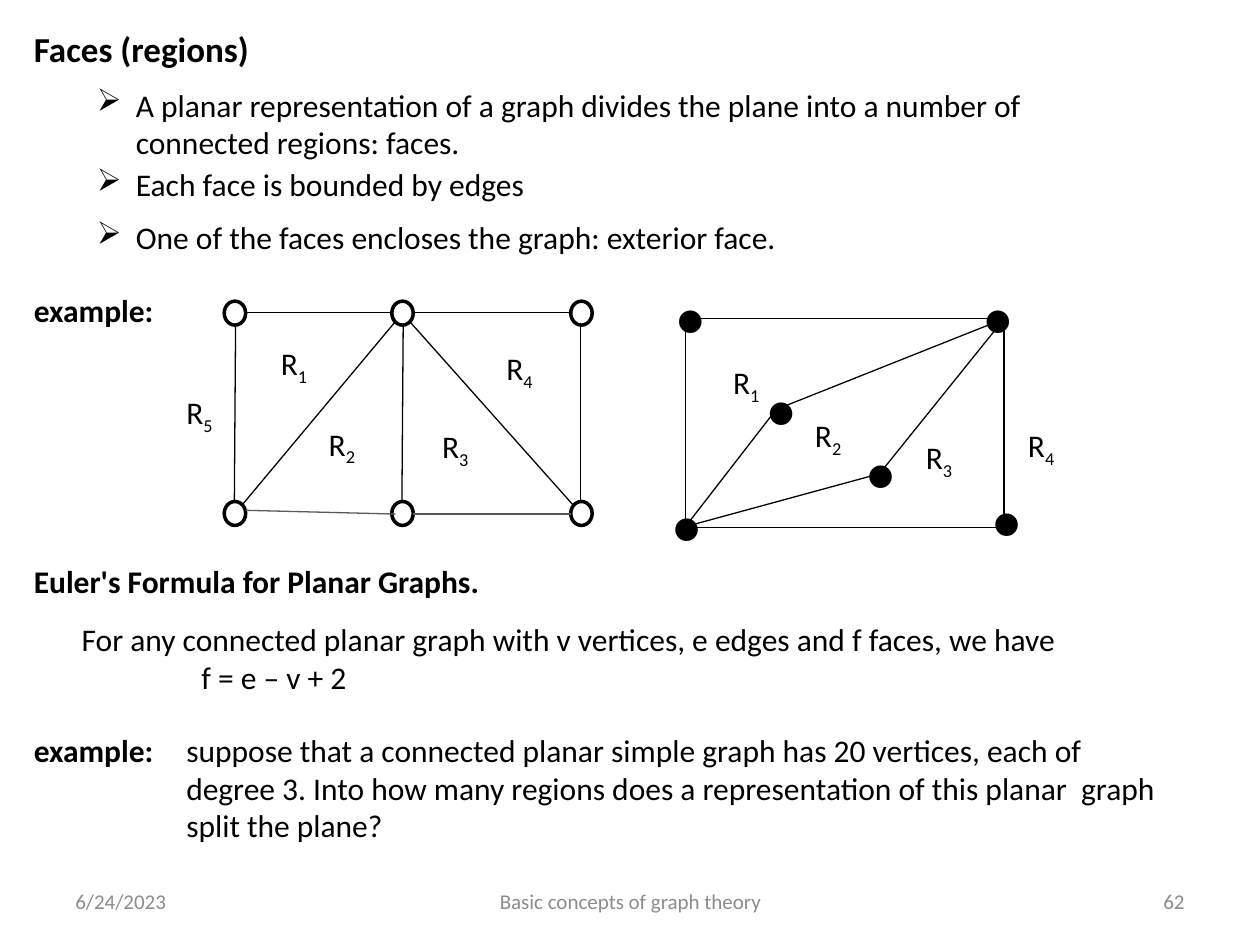
from dataclasses import dataclass
from itertools import product

import lxml.etree
import pptx
import pptx.dml.color
import pptx.enum.shapes
import pptx.enum.text
import pptx.oxml.ns
import pptx.util

Inches = pptx.util.Inches
Pt = pptx.util.Pt
Align = pptx.enum.text.PP_ALIGN
Anchor = pptx.enum.text.MSO_ANCHOR
AutoSize = pptx.enum.text.MSO_AUTO_SIZE
ShapeType = pptx.enum.shapes.MSO_SHAPE
Color = pptx.dml.color.RGBColor
qn = pptx.oxml.ns.qn

BLACK = Color(0x00, 0x00, 0x00)
WHITE = Color(0xFF, 0xFF, 0xFF)
FOOTER_GRAY = Color(0x8C, 0x8C, 0x8C)
EDGE_GRAY = Color(0x59, 0x59, 0x59)


@dataclass(frozen=True)
class Box:
    left: float
    top: float
    width: float
    height: float

    def lengths(self) -> tuple:
        return tuple(map(Inches, (self.left, self.top, self.width, self.height)))


@dataclass(frozen=True)
class Style:
    size: float = 18
    bold: bool = False
    color: Color = BLACK
    font: str = "Calibri"


@dataclass(frozen=True)
class Edge:
    start: tuple[float, float]
    end: tuple[float, float]
    color: Color = BLACK


@dataclass(frozen=True)
class Region:
    number: int
    left: float
    top: float


BODY = Style()
HEADING = Style(bold=True)
FOOTER = Style(12, color=FOOTER_GRAY)
DOT = Style(54, font="Times New Roman")

FOOTERS = [
    (Box(0.5, 6.95, 2.33, 0.4), "6/24/2023", Align.LEFT),
    (Box(3.42, 6.95, 3.17, 0.4), "Basic concepts of graph theory", Align.CENTER),
    (Box(7.17, 6.95, 2.33, 0.4), "62", Align.RIGHT),
]
HEADINGS = [
    (Box(0.17, 0.17, 1.92, 0.44), "Faces (regions)", Style(20, True)),
    (Box(0.17, 2.26, 1.22, 0.4), "example:", HEADING),
    (Box(0.17, 4.41, 3.77, 0.4), "Euler's Formula for Planar Graphs.", HEADING),
    (Box(0.17, 5.75, 1.16, 0.4), "example:", HEADING),
]
BULLETS = [
    (Box(0.67, 0.63, 8.33, 0.71), "A planar representation of a graph divides the plane "
     "into a number of connected regions: faces.", True),
    (Box(0.67, 1.26, 3.64, 0.4), "Each face is bounded by edges", False),
    (Box(0.67, 1.68, 7.08, 0.4), "One of the faces encloses the graph: exterior face.", True),
]

VERTEX_COLUMNS = (1.78, 3.11, 4.53)
VERTEX_ROWS = (2.39, 3.98)
OPEN_EDGES = [
    Edge((3.28, 2.48), (4.53, 2.48)),
    Edge((1.95, 2.48), (3.11, 2.48)),
    Edge((4.61, 3.98), (4.61, 2.58)),
    Edge((3.19, 3.98), (3.2, 2.58)),
    Edge((1.86, 3.98), (1.87, 2.58)),
    Edge((1.95, 4.05), (3.14, 4.08), EDGE_GRAY),
    Edge((1.92, 4.01), (3.14, 2.55)),
    Edge((3.25, 2.55), (4.55, 4.01)),
    Edge((3.28, 4.08), (4.53, 4.08), EDGE_GRAY),
]
OPEN_REGIONS = [
    Region(1, 2.13, 2.68), Region(2, 2.51, 3.32), Region(3, 3.41, 3.34),
    Region(4, 3.92, 2.72), Region(5, 1.38, 3.07),
]

FRAME = Box(5.44, 2.53, 2.53, 1.66)
BOTTOM_LEFT = (5.44, 4.18)
TOP_RIGHT = (7.97, 2.53)
INNER_POINTS = ((6.16, 3.25), (6.98, 3.76))
DOTS = [(5.25, 2.01), (5.97, 2.74), (6.76, 3.24), (7.76, 3.62), (5.22, 3.66), (7.69, 2.01)]
SOLID_REGIONS = [
    Region(1, 5.72, 2.83), Region(2, 6.37, 3.25),
    Region(3, 7.25, 3.43), Region(4, 8.06, 3.33),
]


def add_run(paragraph, text: str, style: Style):
    run = paragraph.add_run()
    run.text = text
    run.font.name = style.font
    run.font.size = Pt(style.size)
    run.font.bold = style.bold
    run.font.color.rgb = style.color
    return run


def add_text(shapes, box: Box, text: str, style: Style = BODY, wrap: bool = False):
    frame = shapes.add_textbox(*box.lengths()).text_frame
    frame.word_wrap = wrap
    frame.auto_size = AutoSize.SHAPE_TO_FIT_TEXT
    add_run(frame.paragraphs[0], text, style)
    return frame


def add_footer(shapes, box: Box, text: str, alignment: Align) -> None:
    frame = add_text(shapes, box, text, FOOTER, True)
    frame.auto_size = AutoSize.NONE
    frame.vertical_anchor = Anchor.MIDDLE
    frame.paragraphs[0].alignment = alignment


def add_bullet(shapes, box: Box, text: str, wrap: bool) -> None:
    paragraph = add_text(shapes, box, text, BODY, wrap).paragraphs[0]
    properties = paragraph._p.get_or_add_pPr()
    properties.set("marL", str(Inches(0.31)))
    properties.set("indent", str(Inches(-0.31)))
    lxml.etree.SubElement(properties, qn("a:buChar"), char="➢")


def add_region(shapes, region: Region, width: float, height: float) -> None:
    frame = add_text(shapes, Box(region.left, region.top, width, height), "R")
    subscript = add_run(frame.paragraphs[0], str(region.number), BODY)
    subscript.font._element.set("baseline", "-25000")


def add_edge(shapes, edge: Edge) -> None:
    connector = shapes.add_connector(
        pptx.enum.shapes.MSO_CONNECTOR.STRAIGHT, *map(Inches, edge.start + edge.end))
    connector.line.color.rgb = edge.color
    connector.line.width = Pt(0.75)
    lxml.etree.SubElement(connector._element.spPr, qn("a:effectLst"))


def add_outline(shapes, kind: ShapeType, box: Box, width: float):
    shape = shapes.add_shape(kind, *box.lengths())
    shape.shadow.inherit = False
    shape.fill.background()
    shape.line.color.rgb = BLACK
    shape.line.width = Pt(width)
    return shape


def add_open_graph(slide) -> None:
    shapes = slide.shapes.add_group_shape().shapes
    for left, top in product(VERTEX_COLUMNS, VERTEX_ROWS):
        vertex = add_outline(shapes, ShapeType.OVAL, Box(left, top, 0.17, 0.19), 2)
        vertex.fill.solid()
        vertex.fill.fore_color.rgb = WHITE
    for edge in OPEN_EDGES:
        add_edge(shapes, edge)
    for region in OPEN_REGIONS:
        add_region(shapes, region, 0.42, 0.45)


def add_solid_graph(slide) -> None:
    shapes = slide.shapes.add_group_shape().shapes
    add_outline(shapes, ShapeType.RECTANGLE, FRAME, 0.75)
    for corner, point in product((BOTTOM_LEFT, TOP_RIGHT), INNER_POINTS):
        add_edge(shapes, Edge(corner, point))
    for left, top in DOTS:
        add_text(shapes, Box(left, top, 0.47, 1.01), "•", DOT)
    for region in SOLID_REGIONS:
        add_region(shapes, region, 0.43, 0.4)


def main() -> None:
    presentation = pptx.Presentation()
    presentation.slide_width = Inches(10)
    presentation.slide_height = Inches(7.5)
    slide = presentation.slides.add_slide(presentation.slide_layouts[6])
    for footer in FOOTERS:
        add_footer(slide.shapes, *footer)
    for heading in HEADINGS:
        add_text(slide.shapes, *heading)
    for bullet in BULLETS:
        add_bullet(slide.shapes, *bullet)
    add_open_graph(slide)
    add_solid_graph(slide)
    theorem = add_text(
        slide.shapes, Box(0.55, 4.87, 8.17, 0.71),
        "For any connected planar graph with v vertices, e edges and f faces, we have", wrap=True)
    formula = theorem.add_paragraph()
    formula._p.get_or_add_pPr().set("marL", str(Inches(0.95)))
    add_run(formula, "f = e – v + 2", BODY)
    add_text(
        slide.shapes, Box(1.38, 5.75, 7.92, 1.01),
        "suppose that a connected planar simple graph has 20 vertices, each of degree 3. "
        "Into how many regions does a representation of this planar  graph split the plane?",
        wrap=True)
    presentation.save("out.pptx")


if __name__ == "__main__":
    main()
